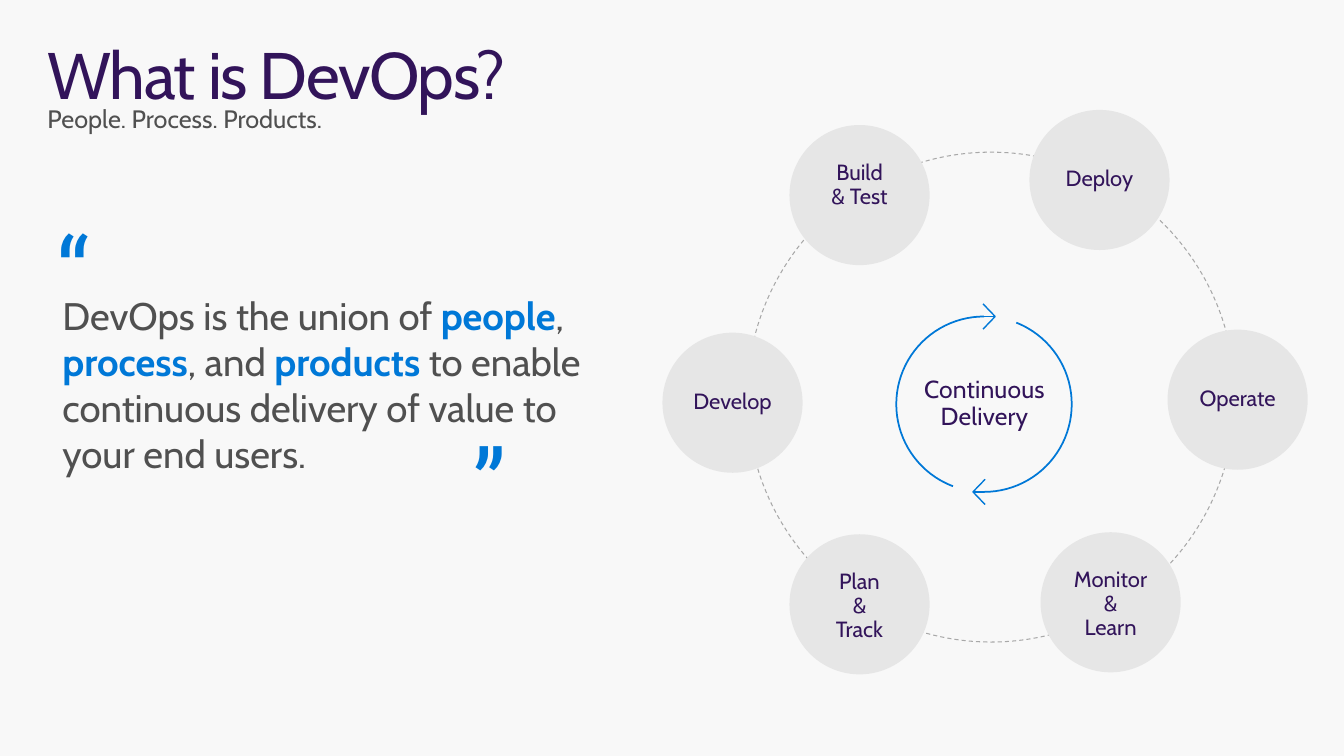
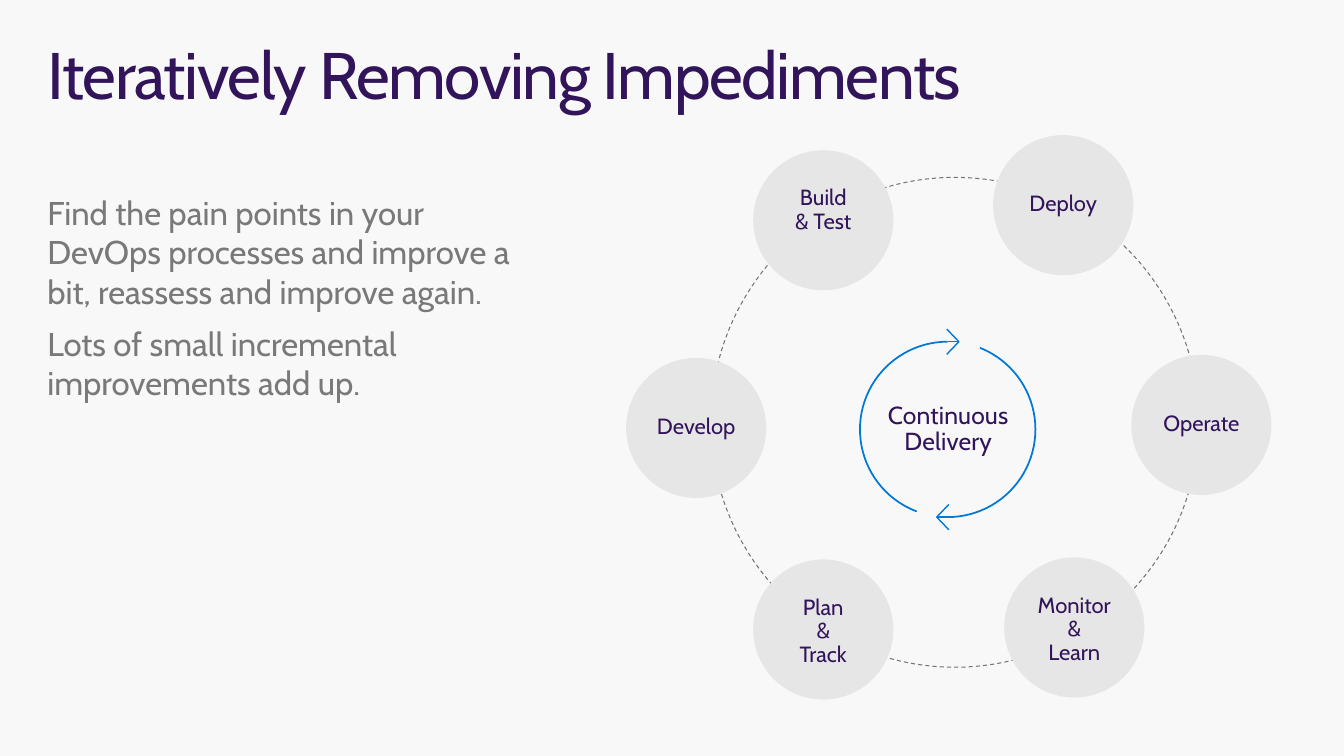
import copy

import pptx
import pptx.dml.color
import pptx.enum.dml
import pptx.enum.shapes
import pptx.enum.text
import pptx.oxml.ns
import pptx.util

Inches = pptx.util.Inches
Pt = pptx.util.Pt
SHAPE = pptx.enum.shapes.MSO_SHAPE
ALIGN = pptx.enum.text.PP_ALIGN
ANCHOR = pptx.enum.text.MSO_ANCHOR
qn = pptx.oxml.ns.qn

COLORS = {
    "background": "F8F8F8",
    "purple": "32145A",
    "blue": "0078D7",
    "text": "505050",
    "body": "797979",
    "stage": "E6E6E6",
    "light_ring": "A8A8A8",
    "dark_ring": "737373",
}

# Stage label and the corner of its circle, measured from the cycle's centre
STAGES = [
    ("Build\n& Test", -1.93, -2.77),
    ("Deploy", 0.45, -2.92),
    ("Operate", 1.82, -0.74),
    ("Monitor\n&\nLearn", 0.56, 1.27),
    ("Plan\n&\nTrack", -1.93, 1.29),
    ("Develop", -3.19, -0.71),
]
STAGE_SIZE = 1.39
LOOP_RADIUS = 0.87


def rgb(name):
    return pptx.dml.color.RGBColor.from_string(COLORS[name])


def write(frame, text, size=18, color="text", accent="blue", font="Cabin",
          align=ALIGN.LEFT, anchor=ANCHOR.TOP, insets=(0, 0, 0, 0),
          line_spacing=None, space_after=0, tracking=None):
    """Fill a frame; a newline breaks a line, *stars* mark bold accents."""
    frame.word_wrap = True
    frame.auto_size = pptx.enum.text.MSO_AUTO_SIZE.NONE
    frame.vertical_anchor = anchor
    (frame.margin_left, frame.margin_top,
     frame.margin_right, frame.margin_bottom) = map(Inches, insets)
    paragraphs = [text] if isinstance(text, str) else text
    for index, content in enumerate(paragraphs):
        paragraph = frame.add_paragraph() if index else frame.paragraphs[0]
        paragraph.alignment = align
        paragraph.space_before = Pt(0)
        paragraph.space_after = Pt(space_after)
        if line_spacing:
            paragraph.line_spacing = line_spacing
        for part, phrase in enumerate(content.split("*")):
            strong = part % 2 == 1
            for number, line in enumerate(phrase.split("\n")):
                if number:
                    paragraph.add_line_break()
                run = paragraph.add_run()
                run.text = line
                run.font.name = font
                run.font.size = Pt(size)
                run.font.bold = strong
                run.font.color.rgb = rgb(accent if strong else color)
                if tracking:
                    run.font._element.set("spc", str(round(tracking * 100)))
        # Line breaks take the size of the text around them
        for line_break in paragraph._p.findall(qn("a:br")):
            line_break.append(copy.deepcopy(run.font._element))


class Deck:
    def __init__(self):
        self.prs = pptx.Presentation()
        self.prs.slide_width = Inches(13.33)
        self.prs.slide_height = Inches(7.5)
        fill = self.prs.slide_master.background.fill
        fill.solid()
        fill.fore_color.rgb = rgb("background")
        self.slide = None

    def new_slide(self, title):
        self.slide = self.prs.slides.add_slide(self.prs.slide_layouts[5])
        heading = self.slide.shapes.title
        heading.left, heading.top = Inches(0.47), Inches(0.24)
        heading.width, heading.height = Inches(12.4), Inches(0.81)
        write(heading.text_frame, title, size=47, color="purple",
              insets=(0, 0.18, 0, 0), line_spacing=0.9, tracking=-1)

    def text(self, content, left, top, width, height, **style):
        box = self.slide.shapes.add_textbox(*map(Inches, (left, top, width, height)))
        write(box.text_frame, content, **style)

    def paint(self, shape, fill=None, line=None, weight=1.0):
        shape.shadow.inherit = False
        if fill:
            shape.fill.solid()
            shape.fill.fore_color.rgb = rgb(fill)
        else:
            shape.fill.background()
        if line:
            shape.line.color.rgb = rgb(line)
            shape.line.width = Pt(weight)
        else:
            shape.line.fill.background()
        return shape

    def shape(self, kind, left, top, width, height, **paint):
        box = map(Inches, (left, top, width, height))
        return self.paint(self.slide.shapes.add_shape(kind, *box), **paint)

    def arc(self, x, y, start, end):
        arc = self.shape(SHAPE.ARC, x - LOOP_RADIUS, y - LOOP_RADIUS,
                         2 * LOOP_RADIUS, 2 * LOOP_RADIUS, line="blue", weight=1.25)
        # Angles are stored in 60000ths of a degree, adjustments in 100000ths
        arc.adjustments[0] = start * 0.6
        arc.adjustments[1] = end * 0.6

    def arrow(self, x, y, direction):
        """Open arrowhead with a short shaft starting at x, y."""
        tip = x + direction * 0.11
        back = tip - direction * 0.12
        builder = self.slide.shapes.build_freeform(
            Inches(back), Inches(y + 0.125))
        builder.add_line_segments(
            [(Inches(tip), Inches(y)), (Inches(back), Inches(y - 0.125))],
            close=False)
        self.paint(builder.convert_to_shape(), line="blue")
        shaft = self.slide.shapes.add_connector(
            pptx.enum.shapes.MSO_CONNECTOR.STRAIGHT,
            Inches(x), Inches(y), Inches(tip), Inches(y))
        shaft.line.color.rgb = rgb("blue")
        shaft.line.width = Pt(1)
        properties = shaft._element.spPr
        properties.append(properties.makeelement(qn("a:effectLst"), {}))

    def cycle(self, x, y, ring_color):
        # Dashed outer ring
        ring = self.shape(SHAPE.OVAL, x - 2.35, y - 2.5, 4.84, 4.86,
                          line=ring_color, weight=0.75)
        ring.line.dash_style = pptx.enum.dml.MSO_LINE.DASH

        # Inner loop
        self.text("Continuous\nDelivery", x - 0.9, y - 0.61, 1.81, 1.22,
                  size=17.6, color="purple", align=ALIGN.CENTER,
                  anchor=ANCHOR.MIDDLE, line_spacing=0.9, tracking=0.1)
        self.arc(x, y, 291.6, 90)
        self.arc(x, y, 110.7, 270)
        self.arrow(x, y - LOOP_RADIUS, 1)
        self.arrow(x, y + LOOP_RADIUS, -1)

        # Stages
        for label, dx, dy in STAGES:
            stage = self.shape(SHAPE.OVAL, x + dx, y + dy,
                               STAGE_SIZE, STAGE_SIZE, fill="stage")
            top = 0.16 if "\n" in label else 0.37
            write(stage.text_frame, label, size=15.7, color="purple",
                  align=ALIGN.CENTER, insets=(0, top, 0, 0), line_spacing=0.9)


def main():
    deck = Deck()

    # Definition
    deck.new_slide("What is DevOps?")
    deck.text("People. Process. Products.", 0.47, 1.03, 12.4, 0.3)
    deck.text("DevOps is the union of *people*, *process*, and *products* to "
              "enable continuous delivery of value to your end users.",
              0.47, 2.07, 5.8, 4.25, size=27.4, insets=(0.15, 0.83, 0.2, 0.16))
    for mark, left, top in (("“", 0.47, 2.07), ("”", 4.6, 4.17)):
        deck.text(mark, left, top, 0.85, 1.18, size=62.7, color="blue",
                  font="Roboto Slab", insets=(0.1, 0.05, 0.1, 0.05), tracking=-0.1)
    deck.cycle(9.76, 4.01, "light_ring")

    # Improvement
    deck.new_slide("Iteratively Removing Impediments")
    deck.cycle(9.4, 4.26, "dark_ring")
    deck.text(["Find the pain points in your DevOps processes and improve a bit, "
               "reassess and improve again.",
               "Lots of small incremental improvements add up."],
              0.47, 1.91, 4.87, 2.1, size=23.5, color="body", space_after=8.8)

    deck.prs.save("out.pptx")


if __name__ == "__main__":
    main()
